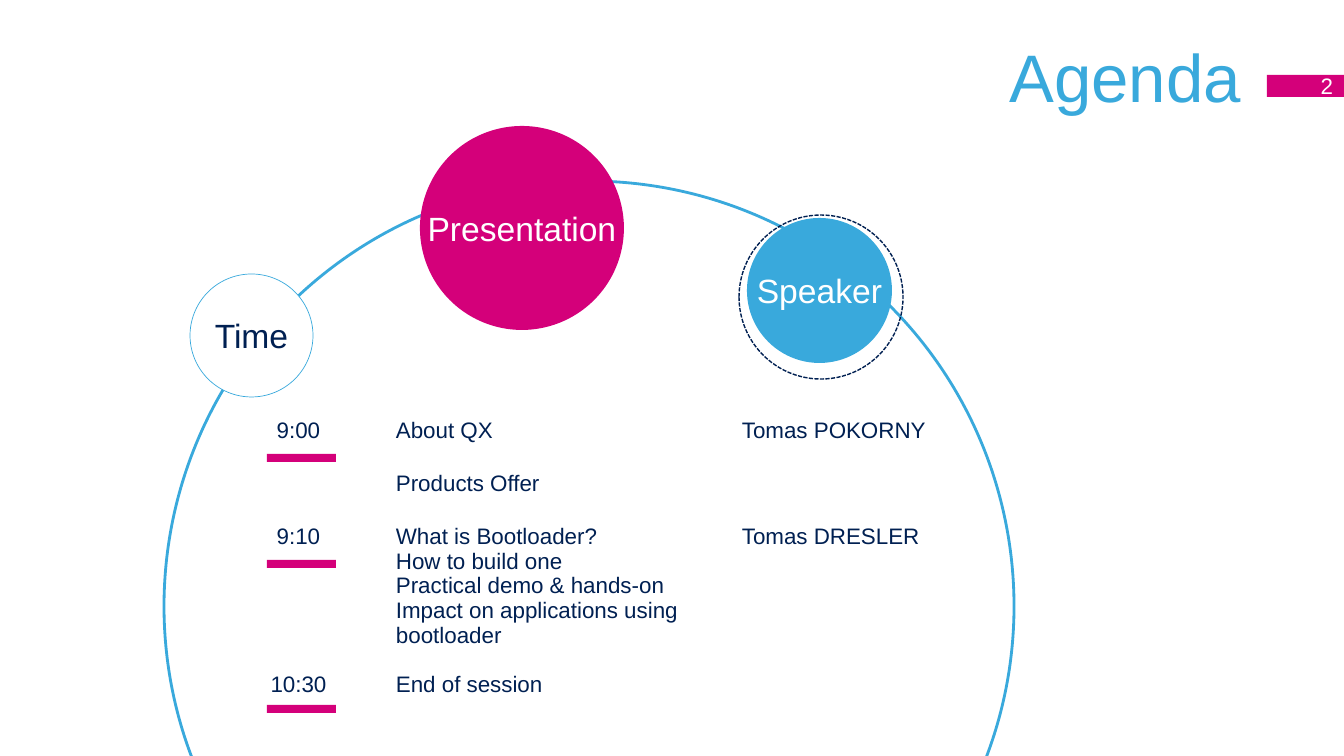
from math import cos, radians, sin, tan

from lxml.etree import SubElement
from pptx import Presentation
from pptx.dml.color import RGBColor
from pptx.enum.dml import MSO_LINE
from pptx.enum.shapes import MSO_SHAPE
from pptx.enum.text import MSO_ANCHOR, PP_ALIGN
from pptx.oxml.ns import qn
from pptx.util import Emu, Pt

OVAL, RECT = MSO_SHAPE.OVAL, MSO_SHAPE.RECTANGLE
LEFT, CENTER, RIGHT = PP_ALIGN.LEFT, PP_ALIGN.CENTER, PP_ALIGN.RIGHT
MIDDLE = MSO_ANCHOR.MIDDLE
DASH = MSO_LINE.SQUARE_DOT

EMU_PER_PX = 12192000 / 1344
FONT = "Arial"
BLUE, PINK, NAVY, WHITE = "39A9DC", "D4007A", "002052", "FFFFFF"

AGENDA = [
    ("9:00", ["About QX"], "Tomas POKORNY"),
    ("", ["Products Offer"], ""),
    ("9:10", ["What is Bootloader?", "How to build one", "Practical demo & hands-on",
              "Impact on applications using bootloader"], "Tomas DRESLER"),
    ("10:30", ["End of session"], ""),
]
COLUMN_WIDTHS = [169, 346, 257]
ROW_HEIGHTS = [53, 53, 64, 85]
AGENDA_HEIGHT = 339
TIME_BAR_TOPS = [454, 560, 705]


def px(length):
    return Emu(round(length * EMU_PER_PX))


def rgb(value):
    return RGBColor.from_string(value)


def write(frame, lines, size, color, align):
    """Fill a text frame with one paragraph per line."""
    for index, line in enumerate(lines):
        paragraph = frame.paragraphs[0] if index == 0 else frame.add_paragraph()
        paragraph.alignment = align
        run = paragraph.add_run()
        run.text = line
        for name, value in {"name": FONT, "size": Pt(size)}.items():
            setattr(run.font, name, value)
        run.font.color.rgb = rgb(color)


def set_insets(target, horizontal, vertical=7):
    """Set the margins of a text frame or a table cell."""
    insets = {"margin_left": horizontal, "margin_right": horizontal,
              "margin_top": vertical, "margin_bottom": vertical}
    for name, value in insets.items():
        setattr(target, name, px(value))


def style(shape, fill=None, line=None, width=1, dash=None):
    shape.shadow.inherit = False
    if fill:
        shape.fill.solid()
        shape.fill.fore_color.rgb = rgb(fill)
    else:
        shape.fill.background()
    if line:
        shape.line.color.rgb = rgb(line)
        shape.line.width = Pt(width)
        if dash:
            shape.line.dash_style = dash
    else:
        shape.line.fill.background()


def add_label(shape, text, size, color, align, inset, wrap=False):
    frame = shape.text_frame
    frame.word_wrap = wrap
    frame.vertical_anchor = MIDDLE
    set_insets(frame, inset)
    write(frame, [text], size, color, align)


def add_title(slide, text):
    title = slide.shapes.add_textbox(px(67), px(13), px(1187), px(126))
    add_label(title, text, 48, BLUE, RIGHT, 13, wrap=True)


def add_bar(slide, left, top, width, height):
    bar = slide.shapes.add_shape(RECT, px(left), px(top), px(width), px(height))
    style(bar, PINK)
    return bar


def add_circle(slide, left, top, diameter, **look):
    circle = slide.shapes.add_shape(OVAL, px(left), px(top), px(diameter), px(diameter))
    style(circle, **look)
    return circle


def add_arc(slide, center_x, center_y, radius, start, end, pieces=3):
    """Draw an open arc over the top of a circle, clockwise, as Bézier curves."""
    left, top = center_x - radius, center_y - radius
    width, height = 2 * radius, round(radius + radius * sin(radians(end)))
    step = radians(end - start) / pieces
    reach = 4 / 3 * tan(step / 4)

    def point(angle, pull=0):
        """Point on the circle, moved along its tangent by pull radii."""
        return (center_x + radius * (cos(angle) - pull * sin(angle)),
                center_y + radius * (sin(angle) + pull * cos(angle)))

    angles = [radians(start) + step * index for index in range(pieces + 1)]
    anchors = [point(angle) for angle in angles]
    builder = slide.shapes.build_freeform(*anchors[0], scale=EMU_PER_PX)
    builder.add_line_segments(anchors[1:], close=False)
    arc = builder.convert_to_shape()
    box = {"left": left, "top": top, "width": width, "height": height}
    for name, value in box.items():
        setattr(arc, name, px(value))

    outline = next(arc.element.iter(qn("a:path")))
    outline.clear()
    outline.set("w", str(px(width)))
    outline.set("h", str(px(height)))

    def add_step(tag, points):
        segment = SubElement(outline, qn(tag))
        for x, y in points:
            SubElement(segment, qn("a:pt"), x=str(px(x - left)), y=str(px(y - top)))

    add_step("a:moveTo", anchors[:1])
    for begin, finish in zip(angles, angles[1:]):
        add_step("a:cubicBezTo", [point(begin, reach), point(finish, -reach), point(finish)])
    style(arc, line=BLUE, width=2)


def add_agenda(slide, left, top):
    frame = slide.shapes.add_table(len(AGENDA), len(COLUMN_WIDTHS), px(left), px(top),
                                   px(sum(COLUMN_WIDTHS)), px(AGENDA_HEIGHT))
    agenda = frame.table
    agenda.first_row = agenda.horz_banding = False
    for column, width in zip(agenda.columns, COLUMN_WIDTHS):
        column.width = px(width)
    for row, height, (time, topics, speaker) in zip(agenda.rows, ROW_HEIGHTS, AGENDA):
        row.height = px(height)
        entries = [([time], CENTER), (topics, LEFT), ([speaker], LEFT)]
        for cell, (lines, align) in zip(row.cells, entries):
            cell.fill.background()
            set_insets(cell, 13)
            if any(lines):
                write(cell.text_frame, lines, 16, NAVY, align)
    frame.height = px(AGENDA_HEIGHT)


def main():
    prs = Presentation()
    prs.slide_width, prs.slide_height = px(1344), px(756)
    slide = prs.slides.add_slide(prs.slide_layouts[6])

    add_title(slide, "Agenda")
    page_tag = add_bar(slide, 1267, 75, 78, 22)
    add_label(page_tag, "2", 16, WHITE, RIGHT, 12)
    add_agenda(slide, 214, 411)
    add_arc(slide, 589, 606, 425, 146, 394)

    time = add_circle(slide, 190, 274, 123, fill=WHITE, line=BLUE, width=0.5)
    add_label(time, "Time", 24, NAVY, CENTER, 5)
    speaker = add_circle(slide, 747, 218, 145, fill=BLUE)
    add_label(speaker, "Speaker", 24, WHITE, CENTER, 5)
    add_circle(slide, 739, 215, 164, line=NAVY, width=1, dash=DASH)
    presentation = add_circle(slide, 420, 126, 204, fill=PINK)
    add_label(presentation, "Presentation", 24, WHITE, CENTER, 5)

    for top in TIME_BAR_TOPS:
        add_bar(slide, 267, top, 69, 8)

    prs.save("out.pptx")


if __name__ == "__main__":
    main()
